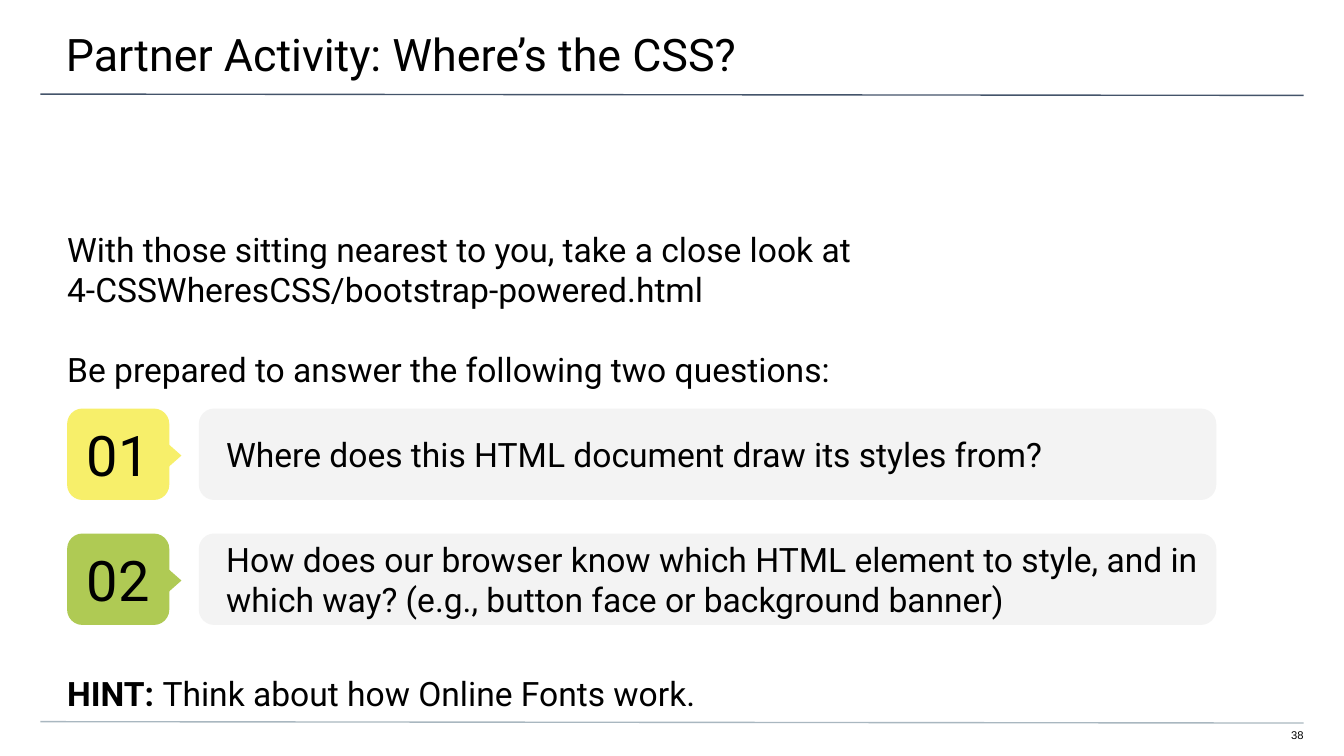
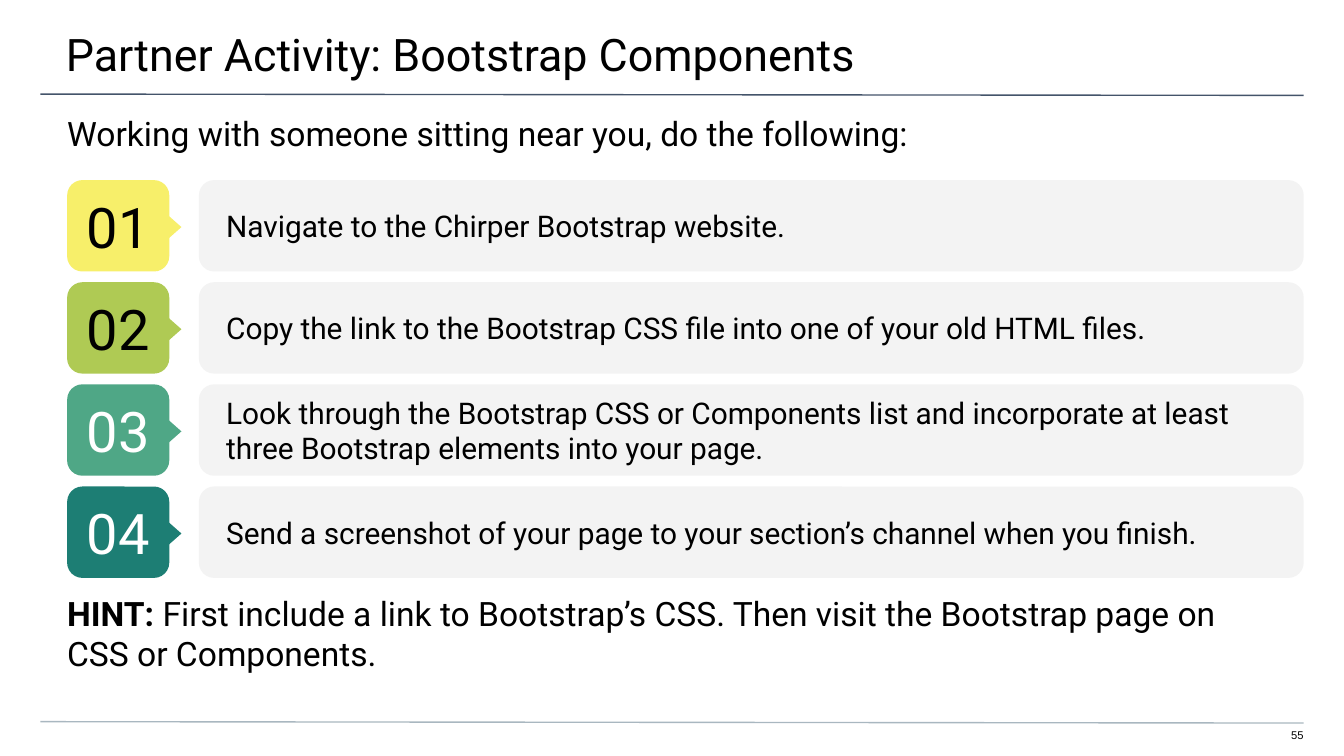
from lxml import etree
from pptx import Presentation
from pptx.dml.color import RGBColor
from pptx.enum.shapes import MSO_CONNECTOR, MSO_SHAPE
from pptx.enum.text import MSO_ANCHOR, MSO_AUTO_SIZE, PP_ALIGN
from pptx.oxml.ns import qn
from pptx.util import Inches, Pt

ROUNDED, ARROW = MSO_SHAPE.ROUNDED_RECTANGLE, MSO_SHAPE.FLOWCHART_EXTRACT
TOP, MIDDLE = MSO_ANCHOR.TOP, MSO_ANCHOR.MIDDLE
LEFT, CENTER, RIGHT = PP_ALIGN.LEFT, PP_ALIGN.CENTER, PP_ALIGN.RIGHT

BLACK = RGBColor(0x00, 0x00, 0x00)
WHITE = RGBColor(0xFF, 0xFF, 0xFF)
CARD_GREY = RGBColor(0xF3, 0xF3, 0xF3)
TITLE_RULE = RGBColor(0x44, 0x54, 0x6A)
FOOTER_RULE = RGBColor(0xA9, 0xB7, 0xC0)
STEP_COLORS = [  # badge fill, number colour
    (RGBColor(0xF7, 0xEF, 0x6A), BLACK),
    (RGBColor(0xAF, 0xCA, 0x54), BLACK),
    (RGBColor(0x4F, 0xA7, 0x86), WHITE),
    (RGBColor(0x1D, 0x7E, 0x74), WHITE),
]

SLIDES = [
    {
        "title": "Partner Activity: Where’s the CSS?",
        "intro": [
            "With those sitting nearest to you, take a close look at "
            "4-CSSWheresCSS/bootstrap-powered.html",
            "Be prepared to answer the following two questions:",
        ],
        "steps": [
            "Where does this HTML document draw its styles from?",
            "How does our browser know which HTML element to style, and in "
            "which way? (e.g., button face or background banner)",
        ],
        "hint": "Think about how Online Fonts work.",
        "number": 38,
        "intro_top": 1.6, "steps_top": 3.04, "pitch": 0.93, "hint_top": 4.83,
        "card_width": 7.57, "step_size": 18,
    },
    {
        "title": "Partner Activity: Bootstrap Components",
        "intro": ["Working with someone sitting near you, do the following:"],
        "steps": [
            "Navigate to the Chirper Bootstrap website.",
            "Copy the link to the Bootstrap CSS file into one of your old HTML files.",
            "Look through the Bootstrap CSS or Components list and incorporate "
            "at least three Bootstrap elements into your page.",
            "Send a screenshot of your page to your section’s channel when you finish.",
        ],
        "hint": "First include a link to Bootstrap’s CSS. Then visit the "
                "Bootstrap page on CSS or Components.",
        "number": 55,
        "intro_top": 0.74, "steps_top": 1.34, "pitch": 0.76, "hint_top": 4.38,
        "card_width": 8.22, "step_size": 16,
    },
]

WIDTH = 10
HEIGHT = WIDTH * 9 / 16
MARGIN, EDGE = 0.5, 0.3
BADGE_WIDTH, STEP_HEIGHT = 0.76, 0.68
ARROW_WIDTH, ARROW_HEIGHT = 0.37, 0.21
ARROW_LEFT, CARD_LEFT = 1.06, 1.48
BODY_SIZE = 18
LINE_GAP = 21.6


def write(shape, paragraphs, size, insets, anchor=TOP, align=LEFT,
          color=BLACK, font="Roboto"):
    """Fill a shape with paragraphs; insets run left, top, right, bottom."""
    frame = shape.text_frame
    frame.text = "\n".join(paragraphs)
    frame.word_wrap = True
    frame.auto_size = MSO_AUTO_SIZE.NONE
    frame.vertical_anchor = anchor
    (frame.margin_left, frame.margin_top,
     frame.margin_right, frame.margin_bottom) = map(Inches, insets)
    for index, paragraph in enumerate(frame.paragraphs):
        paragraph.alignment = align
        paragraph.space_before = Pt(LINE_GAP if index else 0)
        for span in paragraph.runs:
            span.font.size = Pt(size)
            span.font.name = font
            span.font.color.rgb = color
    return frame


def add_text(slide, frame, *args, **style):
    box = slide.shapes.add_textbox(*map(Inches, frame))
    return write(box, *args, **style)


def add_filled(slide, kind, frame, color):
    shape = slide.shapes.add_shape(kind, *map(Inches, frame))
    shape.shadow.inherit = False
    shape.fill.solid()
    shape.fill.fore_color.rgb = color
    shape.line.fill.background()
    return shape


def add_rule(slide, top, color):
    ends = (EDGE, top, WIDTH - EDGE, top + 0.01)
    rule = slide.shapes.add_connector(MSO_CONNECTOR.STRAIGHT, *map(Inches, ends))
    rule.line.color.rgb = color
    rule.line.width = Pt(0.75)
    etree.SubElement(rule.element.spPr, qn("a:effectLst"))


def add_frame(slide, title, number):
    """Add what every slide shares: title, two rules and the page number."""
    add_rule(slide, 5.37, FOOTER_RULE)
    add_rule(slide, 0.7, TITLE_RULE)
    heading = slide.shapes.title
    heading.left, heading.top = Inches(-0.01), Inches(0)
    heading.width, heading.height = Inches(WIDTH + 0.03), Inches(0.58)
    write(heading, [title], 24, (MARGIN, 0.2, EDGE, 0.1))
    add_text(slide, (9.41, 5.42, 0.29, 0.12), [str(number)], 6,
             (0, 0, 0, 0.1), align=RIGHT, font="Arial")


def add_step(slide, index, text, top, card_width, size):
    fill, number_color = STEP_COLORS[index]
    card = add_filled(slide, ROUNDED, (CARD_LEFT, top, card_width, STEP_HEIGHT),
                      CARD_GREY)
    write(card, [text], size, (0.17, 0, 0.06, 0), MIDDLE)
    badge = add_filled(slide, ROUNDED, (MARGIN, top, BADGE_WIDTH, STEP_HEIGHT), fill)
    write(badge, [f"{index + 1:02}"], 30, (0.1,) * 4, MIDDLE, CENTER, number_color)
    arrow_top = top + 0.01 + (STEP_HEIGHT - ARROW_HEIGHT) / 2
    arrow = add_filled(slide, ARROW,
                       (ARROW_LEFT, arrow_top, ARROW_WIDTH, ARROW_HEIGHT), fill)
    arrow.rotation = 90


def add_hint(slide, text, top):
    frame = add_text(slide, (0, top, WIDTH - EDGE, 0.66), ["HINT: "],
                     BODY_SIZE, (MARGIN, 0, MARGIN, 0), MIDDLE)
    paragraph = frame.paragraphs[0]
    label = paragraph.runs[0]
    label.font.bold = True
    rest = paragraph.add_run()
    rest.text = text
    rest.font.size, rest.font.name = label.font.size, label.font.name
    rest.font.color.rgb = BLACK


def main():
    deck = Presentation()
    deck.slide_width, deck.slide_height = Inches(WIDTH), Inches(HEIGHT)
    title_only = deck.slide_layouts[5]
    for page in SLIDES:
        slide = deck.slides.add_slide(title_only)
        add_frame(slide, page["title"], page["number"])
        intro_height = page["steps_top"] - page["intro_top"]
        add_text(slide, (0, page["intro_top"], WIDTH, intro_height), page["intro"],
                 BODY_SIZE, (MARGIN, 0.1, MARGIN, 0))
        for index, text in enumerate(page["steps"]):
            top = page["steps_top"] + index * page["pitch"]
            add_step(slide, index, text, top, page["card_width"], page["step_size"])
        add_hint(slide, page["hint"], page["hint_top"])
    deck.save("out.pptx")


if __name__ == "__main__":
    main()
